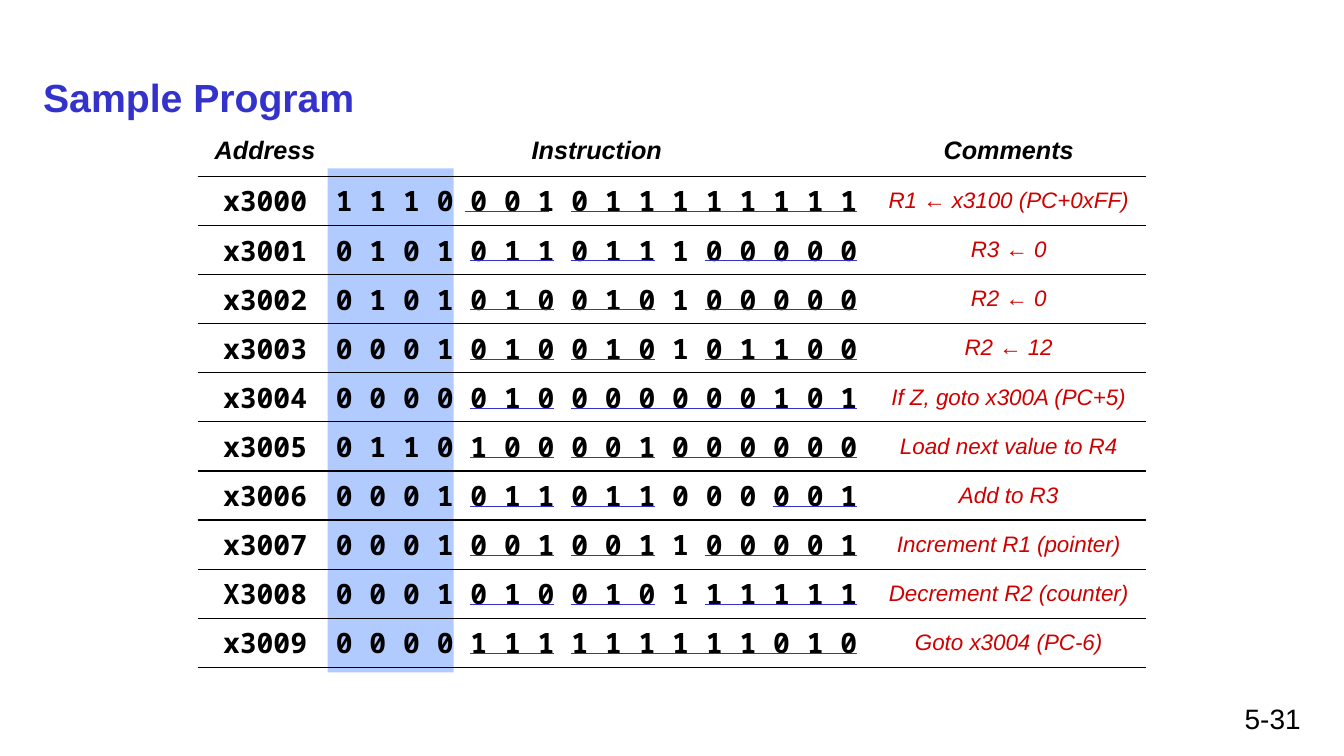
import dataclasses

import lxml.etree
import pptx
import pptx.dml.color
import pptx.enum.shapes
import pptx.enum.text
import pptx.oxml
import pptx.oxml.ns
import pptx.util

Inches = pptx.util.Inches
Pt = pptx.util.Pt
PP_ALIGN = pptx.enum.text.PP_ALIGN
MIDDLE = pptx.enum.text.MSO_ANCHOR.MIDDLE
qn = pptx.oxml.ns.qn

BLACK, BLUE, RED, BAND = "000000", "3333CC", "CE0000", "6699FF"
NO_STYLE = "{2D5ABB26-0587-4C30-8999-92F81FD0307C}"


@dataclasses.dataclass(frozen=True)
class Style:
    size: float
    color: str = BLACK
    bold: bool = False
    italic: bool = False
    name: str = "Arial"


@dataclasses.dataclass(frozen=True)
class Instruction:
    address: str
    bits: str
    comment: str
    fields: tuple[tuple[int, int], ...]  # first and last bit, from the left
    shift: float = 0  # offset of the first underline


TITLE = Style(28, BLUE, bold=True)
NUMBER = Style(20)
HEADER = Style(18, bold=True, italic=True)
CODE = Style(20, bold=True, name="Noto Sans Mono")
COMMENT = Style(16, RED, italic=True)

DEST, SOURCE, IMMEDIATE, OFFSET = (4, 6), (7, 9), (11, 15), (7, 15)
WITH_IMMEDIATE = (DEST, SOURCE, IMMEDIATE)
WITH_OFFSET = (DEST, OFFSET)

HEADINGS = ("Address", "Instruction", "Comments")
PROGRAM = (
    Instruction("x3000", "1110001011111111", "R1 ← x3100 (PC+0xFF)", WITH_OFFSET, -0.05),
    Instruction("x3001", "0101011011100000", "R3 ← 0", WITH_IMMEDIATE),
    Instruction("x3002", "0101010010100000", "R2 ← 0", WITH_IMMEDIATE),
    Instruction("x3003", "0001010010101100", "R2 ← 12", WITH_IMMEDIATE),
    Instruction("x3004", "0000010000000101", "If Z, goto x300A (PC+5)", WITH_OFFSET),
    Instruction("x3005", "0110100001000000", "Load next value to R4", (DEST, SOURCE, (10, 15))),
    Instruction("x3006", "0001011011000001", "Add to R3", (DEST, SOURCE, (13, 15))),
    Instruction("x3007", "0001001001100001", "Increment R1 (pointer)", WITH_IMMEDIATE),
    Instruction("X3008", "0001010010111111", "Decrement R2 (counter)", WITH_IMMEDIATE),
    Instruction("x3009", "0000111111111010", "Goto x3004 (PC-6)", WITH_OFFSET),
)

COL_WIDTHS = (1.24, 5.34, 2.83)
TABLE_LEFT, TABLE_TOP, TABLE_HEIGHT = 1.96, 1.25, 5.36
ROW_HEIGHT = TABLE_HEIGHT / (len(PROGRAM) + 1)
BIT_LEFT, BIT_PITCH, BIT_WIDTH = 3.33, 1 / 3, 1 / 6
UNDERLINE_TOP = 2.1


def rgb(color: str) -> pptx.dml.color.RGBColor:
    return pptx.dml.color.RGBColor.from_string(color)


def write(tf, text: str, style: Style, align=PP_ALIGN.LEFT) -> None:
    p = tf.paragraphs[0]
    p.alignment = align
    r = p.add_run()
    r.text = text
    r.font.size = Pt(style.size)
    r.font.name = style.name
    r.font.bold = style.bold
    r.font.italic = style.italic
    r.font.color.rgb = rgb(style.color)


def add_text(s, box: tuple, text: str, style: Style, align=PP_ALIGN.LEFT) -> None:
    tf = s.shapes.add_textbox(*map(Inches, box)).text_frame
    tf.word_wrap = True
    tf.vertical_anchor = MIDDLE
    write(tf, text, style, align)


def add_opcode_band(s) -> None:
    sp = s.shapes.add_shape(pptx.enum.shapes.MSO_SHAPE.RECTANGLE,
                            Inches(3.25), Inches(1.67), Inches(1.25), Inches(5))
    sp.shadow.inherit = False
    sp.line.fill.background()
    sp.fill.solid()
    sp.fill.fore_color.rgb = rgb(BAND)
    color = sp.fill._xPr.find(".//" + qn("a:srgbClr"))
    lxml.etree.SubElement(color, qn("a:alpha"), val="50000")


def set_borders(cell, visible: tuple[str, ...]) -> None:
    tc_pr = cell._tc.get_or_add_tcPr()
    for side in ("lnL", "lnR", "lnT", "lnB"):
        ln = lxml.etree.SubElement(tc_pr, qn("a:" + side), w=str(Pt(1)))
        if side in visible:
            fill = lxml.etree.SubElement(ln, qn("a:solidFill"))
            lxml.etree.SubElement(fill, qn("a:srgbClr"), val=BLACK)
        else:
            lxml.etree.SubElement(ln, qn("a:noFill"))


def fill_cell(cell, text: str, style: Style, is_header: bool) -> None:
    cell.margin_left, cell.margin_right = Inches(0.1), 0
    cell.margin_top = cell.margin_bottom = Inches(0.1 if is_header else 0)
    cell.vertical_anchor = MIDDLE
    set_borders(cell, ("lnB",) if is_header else ("lnT", "lnB"))
    cell.fill.background()
    write(cell.text_frame, text, style, PP_ALIGN.CENTER)


def add_program_table(s) -> None:
    frame = s.shapes.add_table(len(PROGRAM) + 1, len(HEADINGS), Inches(TABLE_LEFT),
                               Inches(TABLE_TOP), Inches(sum(COL_WIDTHS)),
                               Inches(TABLE_HEIGHT))
    table = frame.table
    table.first_row = table.horz_banding = False
    table._tbl.tblPr.find(qn("a:tableStyleId")).text = NO_STYLE
    for column, width in zip(table.columns, COL_WIDTHS):
        column.width = Inches(width)
    for row in table.rows:
        row.height = Inches(ROW_HEIGHT)
    for col, heading in enumerate(HEADINGS):
        fill_cell(table.cell(0, col), heading, HEADER, True)
    for row, ins in enumerate(PROGRAM, 1):
        texts = (ins.address, " ".join(ins.bits), ins.comment)
        for col, (text, style) in enumerate(zip(texts, (CODE, CODE, COMMENT))):
            fill_cell(table.cell(row, col), text, style, False)


def add_underline(s, left: float, right: float, y: float) -> None:
    line = s.shapes.add_connector(pptx.enum.shapes.MSO_CONNECTOR.STRAIGHT,
                                  Inches(left), Inches(y), Inches(right), Inches(y))
    line.line.color.rgb = rgb(BLUE)
    line.line.width = Pt(0.75)
    lxml.etree.SubElement(line._element.spPr, qn("a:effectLst"))


def add_field_underlines(s) -> None:
    for row, ins in enumerate(PROGRAM):
        for i, (first, last) in enumerate(ins.fields):
            shift = ins.shift if i == 0 else 0
            left = BIT_LEFT + first * BIT_PITCH + shift
            right = BIT_LEFT + last * BIT_PITCH + BIT_WIDTH + shift
            add_underline(s, left, right, UNDERLINE_TOP + row * ROW_HEIGHT)


def main() -> None:
    prs = pptx.Presentation()
    prs.slide_width, prs.slide_height = Inches(13.33), Inches(7.5)
    s = prs.slides.add_slide(prs.slide_layouts[6])
    add_text(s, (9.56, 6.92, 3.44, 0.42), "5-31", NUMBER, PP_ALIGN.RIGHT)
    add_opcode_band(s)
    add_text(s, (0.33, 0.67, 12.67, 0.58), "Sample Program", TITLE)
    add_program_table(s)
    add_field_underlines(s)
    prs.save("out.pptx")


if __name__ == "__main__":
    main()
